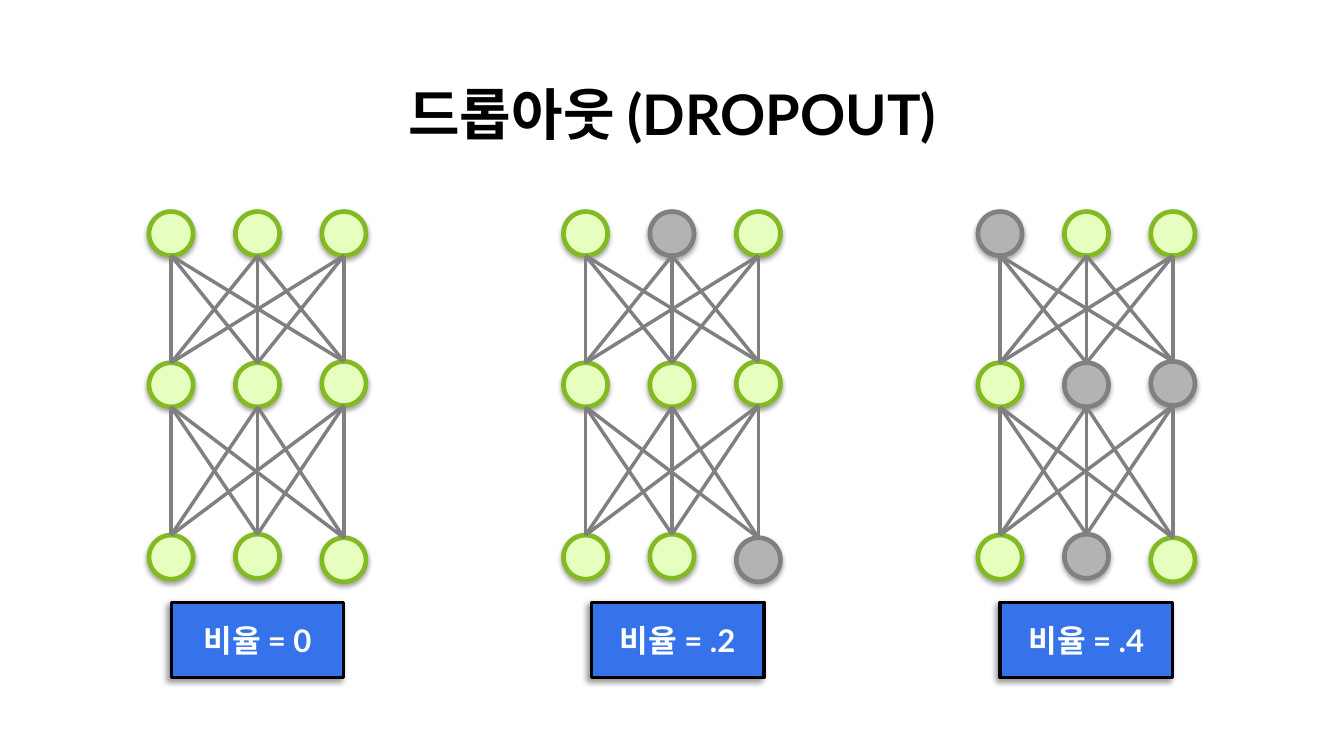
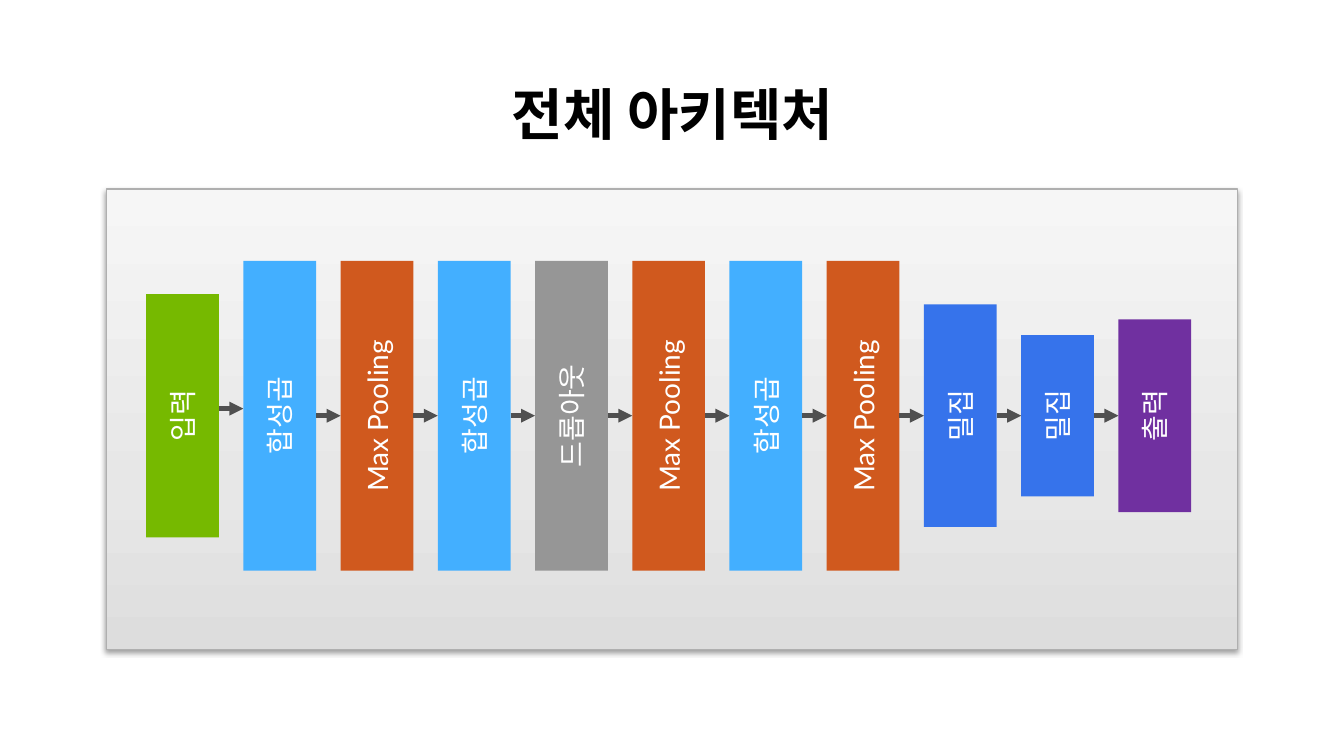
from copy import deepcopy
from itertools import product

from lxml.etree import SubElement
from pptx import Presentation
from pptx.dml.color import RGBColor
from pptx.enum.shapes import MSO_CONNECTOR as CONN, MSO_SHAPE as SHAPE
from pptx.enum.text import MSO_ANCHOR as ANCHOR, PP_ALIGN as ALIGN
from pptx.oxml.ns import qn
from pptx.util import Cm, Pt

COLORS = {
    "black": "000000", "white": "FFFFFF", "gray": "808080",
    "on": "E7FFBE", "on_line": "83BA24", "off": "B3B3B3",
    "blue": "3673EB", "green": "76B900", "sky": "43AFFF",
    "orange": "D0591E", "dropout": "969696", "purple": "7030A0",
    "arrow": "505050", "panel_line": "AFAFAF",
    "panel_low": "DDDDDD", "panel_mid": "E7E7E7", "panel_high": "F6F6F6",
}
TITLES = ["드롭아웃 (DROPOUT)", "전체 아키텍처"]

NETWORKS = [
    {"label": "비율 = 0", "shift": 0, "dropped": []},
    {"label": "비율 = .2", "shift": 0.13, "dropped": [(0, 1), (2, 2)]},
    {"label": "비율 = .4", "shift": 0, "dropped": [(0, 0), (1, 1), (1, 2), (2, 1)]},
]
NODE_TOPS = [(4.8, 4.8, 4.8), (8.23, 8.23, 8.2), (12.14, 12.12, 12.2)]
NODE_SIZE, NODE_PITCH = 1.0, 1.96
NET_CENTER, NET_PITCH = 5.84, 9.4
LABEL_TOP, LABEL_W, LABEL_H = 13.67, 3.91, 1.7

CONV = ("합성곱", "sky", 7.03)
POOL = ("Max Pooling", "orange", 7.03)
LAYERS = [
    ("입력", "green", 5.52), CONV, POOL, CONV, ("드롭아웃", "dropout", 7.03),
    POOL, CONV, POOL, ("밀집", "blue", 5.05), ("밀집", "blue", 3.66),
    ("출력", "purple", 4.37),
]
PANEL = (2.41, 4.29, 25.65, 10.44)
PANEL_STOPS = [(0, "panel_low"), (0.35, "panel_mid"), (1, "panel_high")]
FIRST_X, LAST_X, LAYER_Y, LAYER_W = 4.14, 26.19, 9.43, 1.65
FIRST_ARROW_Y = 9.27

NODE_SHADOW = {"alpha": 34, "blur": 3.1, "dist": 1.8, "angle": 90}
LABEL_SHADOW = {"alpha": 40, "blur": 4, "dist": 3, "angle": 135}
PANEL_SHADOW = {"alpha": 38, "blur": 3.1, "dist": 1.6, "angle": 90}

TITLE_FONT = {"name": "Lato", "size": Pt(36), "bold": True}
LABEL_FONT = {"name": "Lato", "size": Pt(20), "bold": True}
LAYER_FONT = {"name": "Lato", "size": Pt(18), "bold": False}


def rgb(key):
    return RGBColor.from_string(COLORS[key])


def write(sp, text, font, color, anchor=ANCHOR.MIDDLE, spacing=None):
    tf = sp.text_frame
    tf.word_wrap = True
    tf.vertical_anchor = anchor
    p = tf.paragraphs[0]
    p.alignment = ALIGN.CENTER
    p.line_spacing = spacing
    r = p.add_run()
    r.text = text
    for name, value in font.items():
        setattr(r.font, name, value)
    r.font.color.rgb = rgb(color)


def add_shadow(sp, alpha, blur, dist, angle):
    effects = sp._element.spPr.find(qn("a:effectLst"))
    shadow = SubElement(effects, qn("a:outerShdw"), blurRad=str(Pt(blur)),
                        dist=str(Pt(dist)), dir=str(angle * 60000), rotWithShape="0")
    color = SubElement(shadow, qn("a:srgbClr"), val=COLORS["black"])
    SubElement(color, qn("a:alpha"), val=str(alpha * 1000))


def add_box(shapes, kind, box, fill=None, line=None, width=0, shadow=None):
    sp = shapes.add_shape(kind, *map(Cm, box))
    sp.shadow.inherit = False
    if fill:
        sp.fill.solid()
        sp.fill.fore_color.rgb = rgb(fill)
    if line:
        sp.line.color.rgb = rgb(line)
        sp.line.width = Pt(width)
    else:
        sp.line.fill.background()
    if shadow:
        add_shadow(sp, **shadow)
    return sp


def add_line(shapes, start, end, color, width, arrow=False):
    sp = shapes.add_connector(CONN.STRAIGHT, *map(Cm, start + end))
    SubElement(sp._element.spPr, qn("a:effectLst"))
    sp.line.color.rgb = rgb(color)
    sp.line.width = Pt(width)
    if arrow:
        SubElement(sp._element.spPr.find(qn("a:ln")), qn("a:tailEnd"), type="triangle")


def fill_gradient(sp, stops, angle):
    sp.fill.gradient()
    sp.fill.gradient_angle = angle
    gs_list = sp._element.spPr.find(qn("a:gradFill")).find(qn("a:gsLst"))
    while len(gs_list) < len(stops):
        gs_list.append(deepcopy(gs_list[0]))
    for stop, (position, color) in zip(sp.fill.gradient_stops, stops):
        stop.position = position
        stop.color.rgb = rgb(color)


def add_slide(prs, title):
    s = prs.slides.add_slide(prs.slide_layouts[6])
    sp = s.shapes.add_textbox(Cm(1.4), Cm(1.82), Cm(27.7), Cm(1.65))
    write(sp, title, TITLE_FONT, "black", ANCHOR.BOTTOM, 0.9)
    return s


def add_network(shapes, center, dropped):
    xs = [center + (col - 1) * NODE_PITCH for col in range(3)]
    for row, tops in enumerate(NODE_TOPS):
        for col, top in enumerate(tops):
            fill, line = ("off", "gray") if (row, col) in dropped else ("on", "on_line")
            box = (xs[col] - NODE_SIZE / 2, top, NODE_SIZE, NODE_SIZE)
            add_box(shapes, SHAPE.OVAL, box, fill, line, 3, NODE_SHADOW)
    for upper, lower in zip(NODE_TOPS, NODE_TOPS[1:]):
        for (x1, y1), (x2, y2) in product(zip(xs, upper), zip(xs, lower)):
            add_line(shapes, (x1, y1 + NODE_SIZE), (x2, y2), "gray", 2.25)


def build_dropout(s):
    for i, net in enumerate(NETWORKS):
        center = NET_CENTER + i * NET_PITCH
        add_network(s.shapes.add_group_shape().shapes, center, net["dropped"])
        box = (center - LABEL_W / 2 + net["shift"], LABEL_TOP, LABEL_W, LABEL_H)
        sp = add_box(s.shapes, SHAPE.RECTANGLE, box, "blue", "black", 2.25, LABEL_SHADOW)
        write(sp, net["label"], LABEL_FONT, "white")


def build_architecture(s):
    shapes = s.shapes.add_group_shape().shapes
    panel = add_box(shapes, SHAPE.RECTANGLE, PANEL, None, "panel_line", 0.75, PANEL_SHADOW)
    fill_gradient(panel, PANEL_STOPS, 90)
    pitch = (LAST_X - FIRST_X) / (len(LAYERS) - 1)
    for i, (text, fill, length) in enumerate(LAYERS):
        x = FIRST_X + i * pitch
        box = (x - length / 2, LAYER_Y - LAYER_W / 2, length, LAYER_W)
        sp = add_box(shapes, SHAPE.RECTANGLE, box, fill)
        sp.rotation = 270
        write(sp, text, LAYER_FONT, "white")
        if i < len(LAYERS) - 1:
            y = LAYER_Y if i else FIRST_ARROW_Y
            add_line(shapes, (x + LAYER_W / 2, y), (x + pitch - LAYER_W / 2, y),
                     "arrow", 3, arrow=True)


def main():
    prs = Presentation()
    prs.slide_width, prs.slide_height = Cm(30.48), Cm(17.15)
    for title, build in zip(TITLES, (build_dropout, build_architecture)):
        build(add_slide(prs, title))
    prs.save("out.pptx")


if __name__ == "__main__":
    main()
